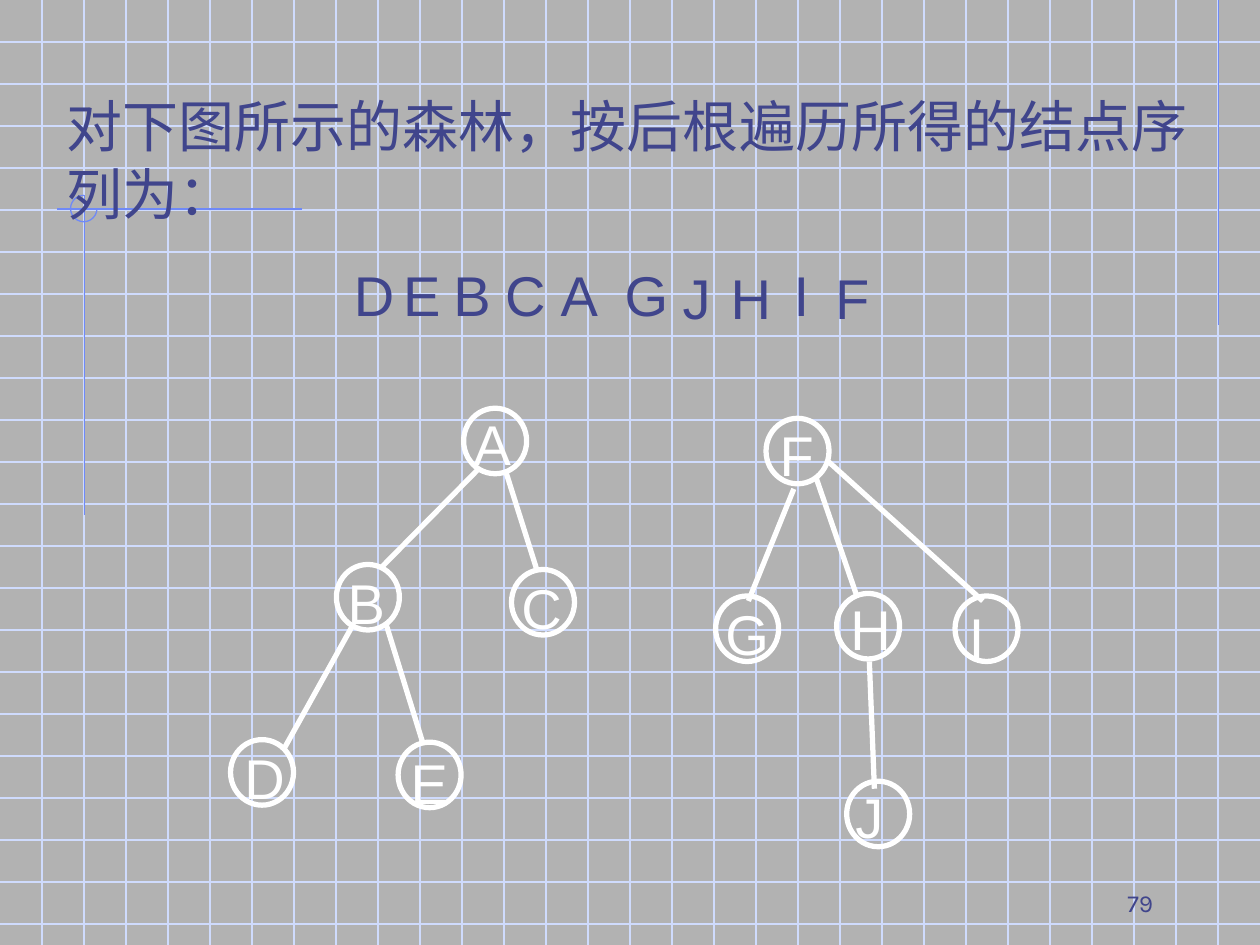
from lxml.etree import SubElement
from pptx import Presentation
from pptx.dml.color import RGBColor
from pptx.enum.shapes import MSO_CONNECTOR as Connector, MSO_SHAPE as Shape
from pptx.enum.text import MSO_ANCHOR as Anchor, MSO_AUTO_SIZE as AutoSize, PP_ALIGN as Align
from pptx.oxml.ns import qn
from pptx.util import Inches, Pt

COLORS = {"paper": "B2B2B2", "grid": "CFDBFD", "accent": "6F89F7",
          "ink": "40458C", "tree": "FFFFFF"}
WIDTH, HEIGHT = 10, 7.5
LETTER_WIDTHS = {"A": 0.49, "B": 0.49, "C": 0.52, "D": 0.52, "E": 0.49,
                 "F": 0.47, "G": 0.54, "H": 0.52, "I": 0.32, "J": 0.42}
LETTER_HEIGHT = 0.64
NODE_SIZE = 0.5, 0.52

LEFT_NODES = {
    "A": ((1.88, 0.04), (1.86, 0)),
    "B": ((0.87, 1.28), (0.86, 1.26)),
    "C": ((2.26, 1.32), (2.24, 1.3)),
    "D": ((0.03, 2.67), (0.04, 2.65)),
    "E": ((1.36, 2.69), (1.36, 2.69)),
}
LEFT_EDGES = [
    (2, 0.52, 1.23, 1.3),
    (0.99, 1.78, 0.45, 2.75),
    (1.26, 1.74, 1.56, 2.71),
    (2.22, 0.56, 2.46, 1.32),
]
RIGHT_NODES = {
    "F": ((0.48, 0.12), (0.49, 0.09)),
    "G": ((0.08, 1.53), (0.06, 1.51)),
    "H": ((1.04, 1.51), (1.05, 1.47)),
    "I": ((1.98, 1.53), (1.99, 1.53)),
    "J": ((1.12, 3), (1.09, 2.96)),
}
RIGHT_EDGES = [
    (0.7, 0.68, 0.34, 1.57),
    (0.88, 0.6, 1.2, 1.53),
    (0.96, 0.45, 2.2, 1.57),
    (1.3, 2.05, 1.34, 3.06),
]
SEQUENCE = [("D", 0, 0), ("E", 0.39, 0), ("B", 0.79, 0), ("C", 1.2, 0),
            ("A", 1.64, 0), ("G", 2.15, 0), ("J", 2.61, 0.02),
            ("H", 2.99, 0.02), ("I", 3.49, 0), ("F", 3.82, 0.02)]


def rgb(name):
    """Return the palette colour with this name."""
    return RGBColor.from_string(COLORS[name])


def style_font(paragraph, color, size=32, family="Arial"):
    """Set the font of a whole paragraph."""
    paragraph.font.name = family
    paragraph.font.size = Pt(size)
    paragraph.font.color.rgb = rgb(color)


def add_line(slide, x1, y1, x2, y2, color, weight=0.75):
    """Draw a straight line without a shadow."""
    line = slide.shapes.add_connector(
        Connector.STRAIGHT, Inches(x1), Inches(y1), Inches(x2), Inches(y2))
    line.line.color.rgb = rgb(color)
    line.line.width = Pt(weight)
    SubElement(line._element.spPr, qn("a:effectLst"))


def add_outline(slide, kind, left, top, width, height, color, weight=0.75):
    """Draw an unfilled preset shape and return it."""
    outline = slide.shapes.add_shape(
        kind, Inches(left), Inches(top), Inches(width), Inches(height))
    outline.shadow.inherit = False
    outline.fill.background()
    outline.line.color.rgb = rgb(color)
    outline.line.width = Pt(weight)
    return outline


def add_letter(slide, letter, left, top, color):
    """Place one large letter in a box that fits it."""
    box = slide.shapes.add_textbox(
        Inches(left), Inches(top), Inches(LETTER_WIDTHS[letter]), Inches(LETTER_HEIGHT))
    frame = box.text_frame
    frame.word_wrap = False
    frame.auto_size = AutoSize.SHAPE_TO_FIT_TEXT
    frame.text = letter
    style_font(frame.paragraphs[0], color)


def add_backdrop(slide, left, top, width, height):
    """Draw the squared paper and its accent lines."""
    slide.background.fill.solid()
    slide.background.fill.fore_color.rgb = rgb("paper")
    right, bottom = left + width, top + height
    for row in range(1, int(height * 3) + 1):
        add_line(slide, left, top + row / 3, right, top + row / 3, "grid")
    for column in range(1, int(width * 3)):
        add_line(slide, left + column / 3, top, left + column / 3, bottom, "grid")
    add_line(slide, right - 0.33, top, right - 0.33, top + 2.58, "accent")
    add_line(slide, left + 2.4, top + 1.66, left + 0.45, top + 1.66, "accent")
    add_line(slide, left + 0.67, top + 1.55, left + 0.67, top + 4.09, "accent")
    arc = add_outline(slide, Shape.ARC, left + 0.56, top + 1.55, 0.21, 0.21, "accent")
    arc.adjustments[0] = 0
    arc.adjustments[1] = 162


def add_tree(slide, left, top, nodes, edges):
    """Draw a tree of lettered circles joined by edges."""
    for x1, y1, x2, y2 in edges:
        add_line(slide, left + x1, top + y1, left + x2, top + y2, "tree", 3)
    for (x, y), _ in nodes.values():
        add_outline(slide, Shape.OVAL, left + x, top + y, *NODE_SIZE, "tree", 3)
    for letter, (_, (x, y)) in nodes.items():
        add_letter(slide, letter, left + x, top + y, "tree")


def add_sequence(slide, left, top):
    """Write the letters of the traversal in a row."""
    for letter, x, y in SEQUENCE:
        add_letter(slide, letter, left + x, top + y, "ink")


def add_question(slide, left, top, width, height):
    """Put the question in the title placeholder."""
    question = slide.shapes.title
    question.left, question.top = Inches(left), Inches(top)
    question.width, question.height = Inches(width), Inches(height)
    frame = question.text_frame
    frame.word_wrap = True
    frame.auto_size = AutoSize.NONE
    frame.vertical_anchor = Anchor.TOP
    frame.text = "对下图所示的森林，按后根遍历所得的结点序列为："
    frame.paragraphs[0].alignment = Align.LEFT
    style_font(frame.paragraphs[0], "ink")


def add_page_number(slide, left, top, width, height):
    """Write the page number at the lower right."""
    number = slide.shapes.add_textbox(
        Inches(left), Inches(top), Inches(width), Inches(height))
    frame = number.text_frame
    frame.word_wrap = True
    frame.vertical_anchor = Anchor.BOTTOM
    frame.text = "79"
    frame.paragraphs[0].alignment = Align.RIGHT
    style_font(frame.paragraphs[0], "ink", 14, "Karla")


def main():
    """Build the slide and save it."""
    deck = Presentation()
    deck.slide_width, deck.slide_height = Inches(WIDTH), Inches(HEIGHT)
    slide = deck.slides.add_slide(deck.slide_layouts[5])
    add_backdrop(slide, 0, 0, WIDTH, HEIGHT)
    add_tree(slide, 1.8, 3.2, LEFT_NODES, LEFT_EDGES)
    add_tree(slide, 5.6, 3.2, RIGHT_NODES, RIGHT_EDGES)
    add_sequence(slide, 2.71, 2.02)
    add_question(slide, 0.43, 0.68, 9.17, 1.17)
    slide.shapes._spTree.append(slide.shapes.title._element)
    add_page_number(slide, 7.17, 6.83, 2.08, 0.5)
    deck.save("out.pptx")


if __name__ == "__main__":
    main()
